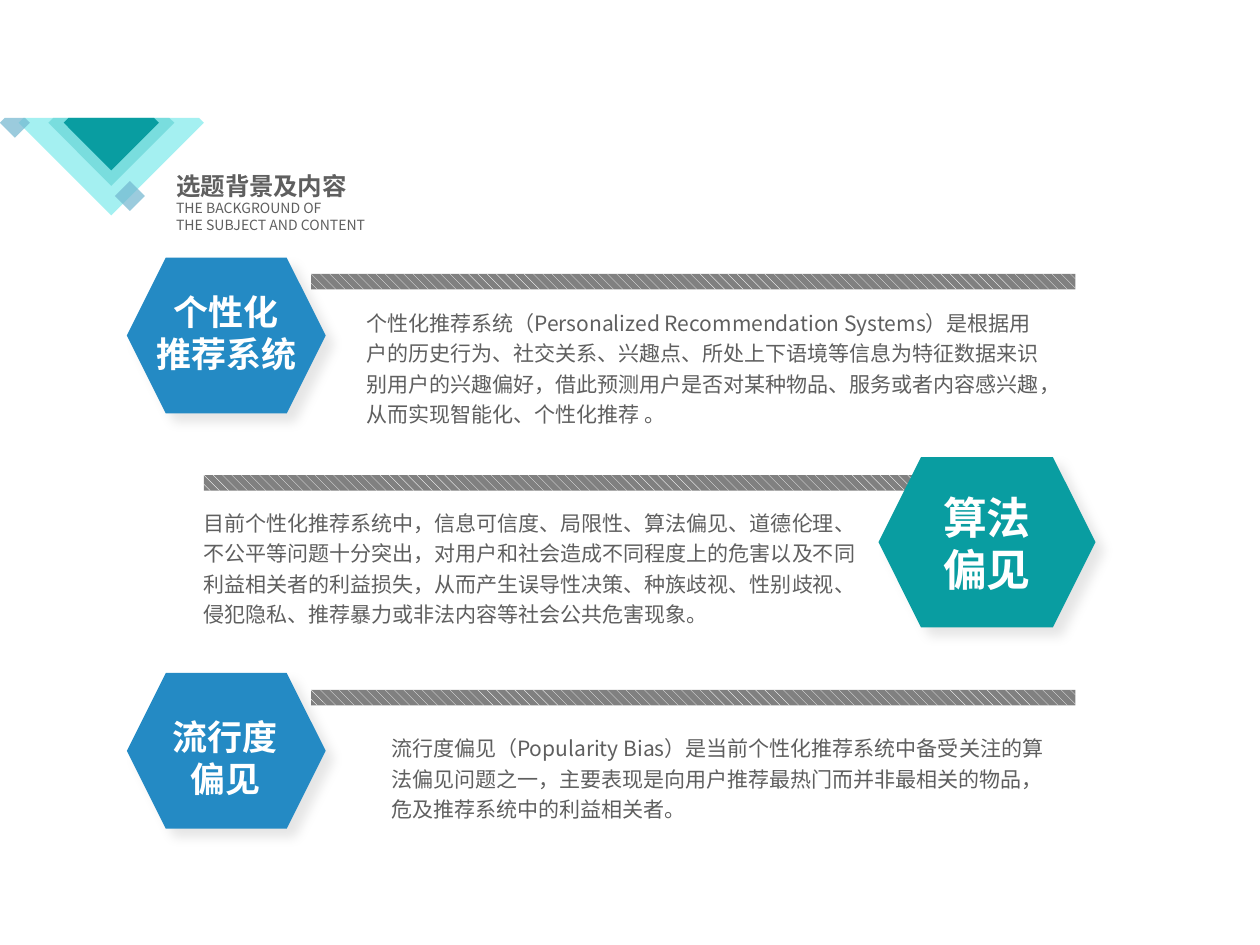
from dataclasses import dataclass

from lxml import etree
from pptx import Presentation
from pptx.dml.color import RGBColor
from pptx.enum.dml import MSO_PATTERN
from pptx.enum.shapes import MSO_SHAPE
from pptx.enum.text import MSO_ANCHOR, MSO_AUTO_SIZE, PP_ALIGN
from pptx.oxml.ns import qn
from pptx.util import Pt

LEFT, CENTER = PP_ALIGN.LEFT, PP_ALIGN.CENTER
TOP = MSO_ANCHOR.TOP
GROW = MSO_AUTO_SIZE.SHAPE_TO_FIT_TEXT
STRIPES = MSO_PATTERN.WIDE_DOWNWARD_DIAGONAL
RECTANGLE, HEXAGON = MSO_SHAPE.RECTANGLE, MSO_SHAPE.HEXAGON
TITLE_ONLY = 5


@dataclass(frozen=True)
class Theme:
    font: str = "Noto Sans CJK SC"
    text: str = "5F5F5F"
    white: str = "FFFFFF"
    bar: str = "808080"
    blue: str = "248AC4"
    teal: str = "099DA1"
    pale: str = "A4F0F1"
    aqua: str = "68D5D7"
    sky: str = "71B6CF"
    shadow: str = "000000"
    title_size: float = 10.5
    subtitle_size: float = 6
    body_size: float = 9
    label_size: float = 15
    large_label_size: float = 18.8


THEME = Theme()
INSET = (7.2, 3.6, 7.2, 3.6)
NO_INSET = (0, 0, 0, 0)
BAR_SIZE = (327.6, 6.7)
BLUE_HEXAGON = (85.2, 66.8)
TEAL_HEXAGON = (93, 73)

# Each topic: bar position, hexagon place and colour, label, description
TOPICS = [
    dict(bar=(133.3, 117.4), hexagon=(54.4, 110.4, *BLUE_HEXAGON), color=THEME.blue,
         label=["个性化", "推荐系统"], label_at=(54.4, 121, 85.2, 44),
         label_size=THEME.label_size, label_wrap=True, body_at=(157, 131, 293, 51),
         body="个性化推荐系统（Personalized Recommendation Systems）是根据用户的历史行为、"
              "社交关系、兴趣点、所处上下语境等信息为特征数据来识别用户的兴趣偏好，"
              "借此预测用户是否对某种物品、服务或者内容感兴趣，从而实现智能化、个性化推荐 。"),
    dict(bar=(87.4, 203.6), hexagon=(376.5, 195.9, *TEAL_HEXAGON), color=THEME.teal,
         label=["算法", "偏见"], label_at=(396.7, 206.6, 52.6, 52.6),
         label_size=THEME.large_label_size, label_wrap=False, body_at=(87.2, 216.7, 285, 51),
         body="目前个性化推荐系统中，信息可信度、局限性、算法偏见、道德伦理、"
              "不公平等问题十分突出，对用户和社会造成不同程度上的危害以及不同利益相关者的利益损失，"
              "从而产生误导性决策、种族歧视、性别歧视、侵犯隐私、"
              "推荐暴力或非法内容等社会公共危害现象。"),
    dict(bar=(133.3, 295.7), hexagon=(54.4, 288.4, *BLUE_HEXAGON), color=THEME.blue,
         label=["流行度", "偏见"], label_at=(54, 303.1, 85.2, 44),
         label_size=THEME.label_size, label_wrap=True, body_at=(167.6, 313.2, 285, 38),
         body="流行度偏见（Popularity Bias）是当前个性化推荐系统中备受关注的算法偏见问题之一，"
              "主要表现是向用户推荐最热门而并非最相关的物品，危及推荐系统中的利益相关者。"),
]

# Corner squares: centre x, centre y, half diagonal, colour, opacity
CORNER_TOP = 50.5
CORNER_SQUARES = [
    (47.7, 52.6, 39.7, THEME.pale, 100),
    (47.7, 52.6, 27, THEME.aqua, 70),
    (47.7, 52.6, 20.4, THEME.teal, 100),
    (6.4, 52.6, 6.4, THEME.sky, 70),
    (55.7, 84, 6.4, THEME.sky, 70),
]


def points(values):
    return [Pt(value) for value in values]


def write_text(box, lines, *, size, color=THEME.text, bold=False, align=LEFT,
               spacing=1.0, inset=INSET, wrap=True):
    frame = box.text_frame
    frame.word_wrap = wrap
    frame.auto_size = GROW
    frame.vertical_anchor = TOP
    (frame.margin_left, frame.margin_top,
     frame.margin_right, frame.margin_bottom) = points(inset)
    for index, line in enumerate(lines):
        para = frame.add_paragraph() if index else frame.paragraphs[0]
        para.alignment = align
        para.line_spacing = spacing
        para.space_before = Pt(0)
        span = para.add_run()
        span.text = line
        span.font.size = Pt(size)
        span.font.bold = bold
        span.font.color.rgb = RGBColor.from_string(color)
        span.font.name = THEME.font
        properties = span.font._element
        properties.set("lang", "zh-CN")
        latin = properties.find(qn("a:latin"))
        east_asian = etree.Element(qn("a:ea"), typeface=THEME.font)
        latin.addnext(east_asian)


def add_text(page, place, lines, **style):
    write_text(page.shapes.add_textbox(*points(place)), lines, **style)


def paint(shape, color, opacity=100):
    shape.shadow.inherit = False
    shape.line.fill.background()
    shape.fill.solid()
    shape.fill.fore_color.rgb = RGBColor.from_string(color)
    if opacity < 100:
        tint = shape._element.spPr.find(qn("a:solidFill"))[0]
        etree.SubElement(tint, qn("a:alpha"), val=str(opacity * 1000))


def add_bar(page, left, top):
    bar = page.shapes.add_shape(RECTANGLE, *points((left, top, *BAR_SIZE)))
    bar.shadow.inherit = False
    bar.line.fill.background()
    bar.fill.patterned()
    bar.fill.pattern = STRIPES
    bar.fill.fore_color.rgb = RGBColor.from_string(THEME.white)
    bar.fill.back_color.rgb = RGBColor.from_string(THEME.bar)


def add_hexagon(page, place, color):
    hexagon = page.shapes.add_shape(HEXAGON, *points(place))
    paint(hexagon, color)
    # Soft shadow to the lower right
    effects = hexagon._element.spPr.find(qn("a:effectLst"))
    shadow = etree.SubElement(effects, qn("a:outerShdw"), blurRad=str(Pt(5)),
                              dist=str(Pt(5)), dir=str(45 * 60000),
                              algn="tl", rotWithShape="0")
    tint = etree.SubElement(shadow, qn("a:srgbClr"), val=THEME.shadow)
    etree.SubElement(tint, qn("a:alpha"), val="10000")


def add_corner_square(group, x, y, half, color, opacity):
    """Draw a square on its corner, cut off above CORNER_TOP."""
    outline = [(x + half, y), (x, y + half), (x - half, y)]
    if y - half < CORNER_TOP:
        flat = half - (y - CORNER_TOP)
        outline += [(x - flat, CORNER_TOP), (x + flat, CORNER_TOP)]
    else:
        outline.append((x, y - half))
    start, *rest = [points(corner) for corner in outline]
    builder = group.shapes.build_freeform(*start)
    builder.add_line_segments(rest, close=True)
    paint(builder.convert_to_shape(), color, opacity)


def add_heading(page):
    title = page.shapes.title
    title.left, title.top, title.width, title.height = points((68.4, 69.8, 88.6, 45))
    write_text(title, ["选题背景及内容"], size=THEME.title_size, bold=True, wrap=False)
    add_text(page, (68.4, 82.1, 99.4, 36),
             ["THE BACKGROUND OF", "THE SUBJECT AND CONTENT"],
             size=THEME.subtitle_size, wrap=False)


def add_topic(page, topic):
    add_bar(page, *topic["bar"])
    add_hexagon(page, topic["hexagon"], topic["color"])
    add_text(page, topic["label_at"], topic["label"], size=topic["label_size"],
             color=THEME.white, bold=True, align=CENTER, wrap=topic["label_wrap"])
    add_text(page, topic["body_at"], [topic["body"]], size=THEME.body_size,
             spacing=1.2, inset=NO_INSET)


def main():
    deck = Presentation()
    deck.slide_width, deck.slide_height = Pt(540), Pt(405)
    page = deck.slides.add_slide(deck.slide_layouts[TITLE_ONLY])
    add_heading(page)
    for topic in TOPICS:
        add_topic(page, topic)
    corner = page.shapes.add_group_shape()
    for square in CORNER_SQUARES:
        add_corner_square(corner, *square)
    deck.save("out.pptx")


if __name__ == "__main__":
    main()
